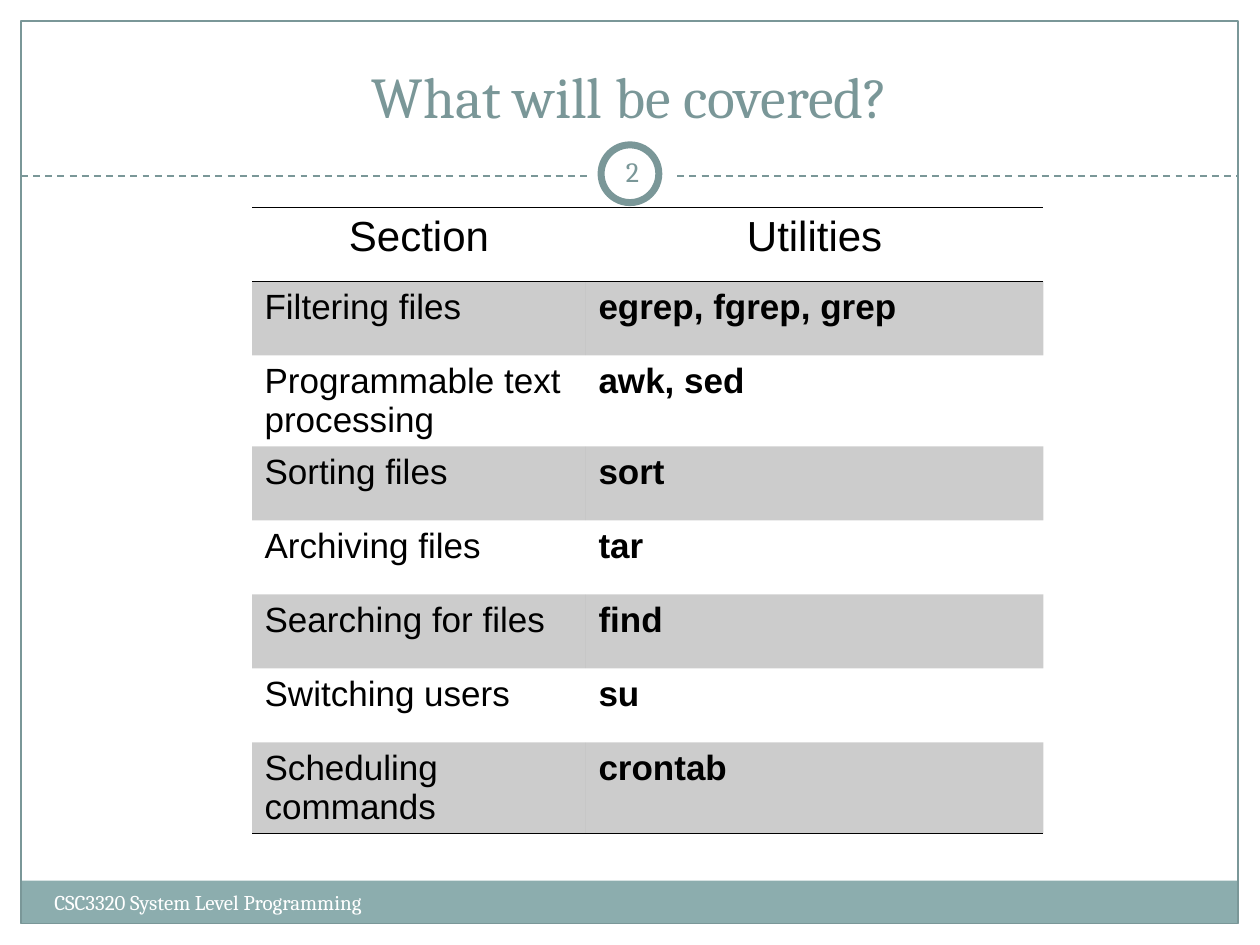
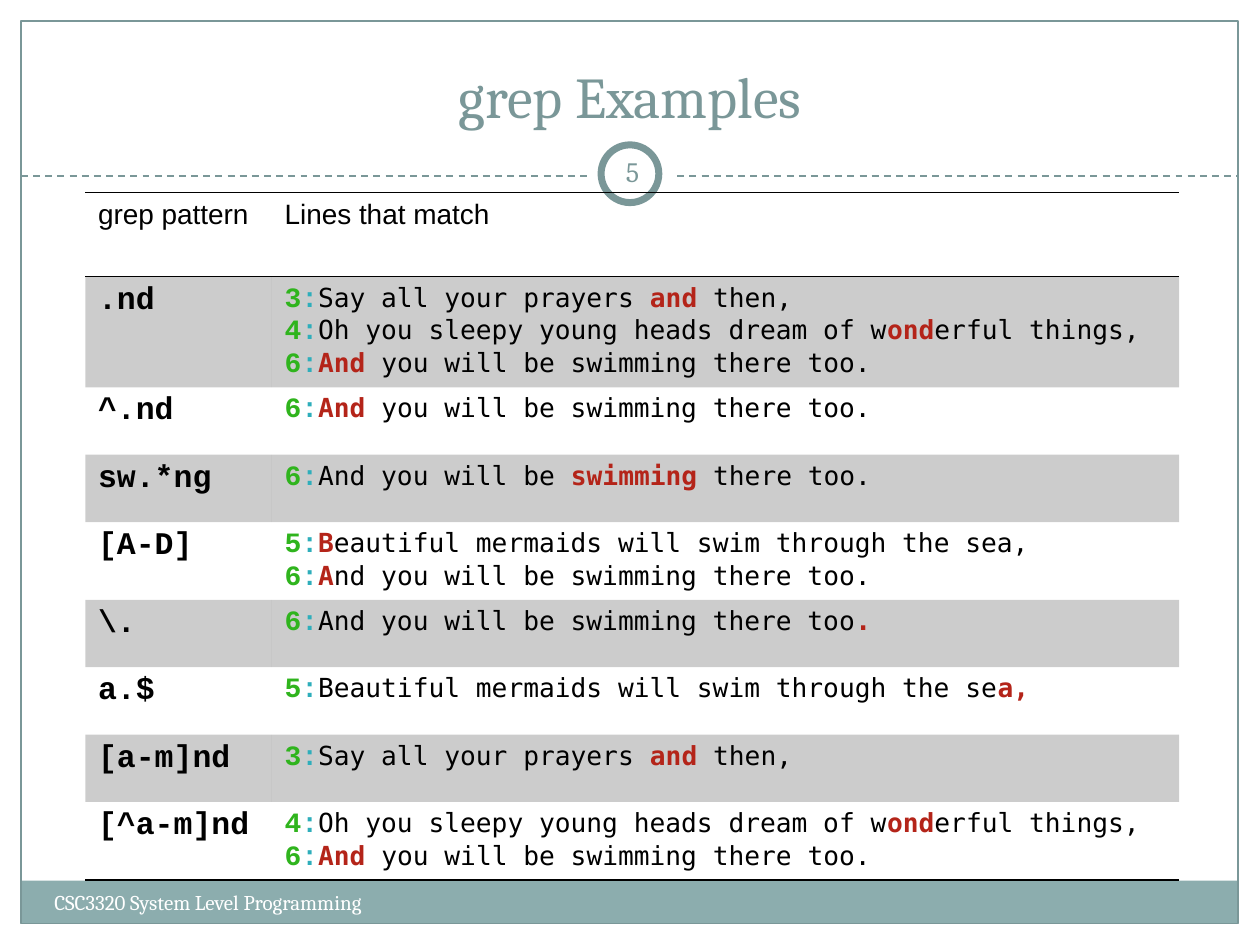
from lxml.etree import SubElement
from pptx import Presentation
from pptx.dml.color import RGBColor
from pptx.enum.dml import MSO_LINE
from pptx.enum.shapes import MSO_CONNECTOR, MSO_SHAPE
from pptx.enum.text import MSO_ANCHOR, MSO_AUTO_SIZE, PP_ALIGN
from pptx.oxml.ns import qn
from pptx.util import Pt

COLORS = {
    "teal": "7A9798",
    "band": "8CADAE",
    "white": "FFFFFF",
    "black": "000000",
    "number": "2FB41D",
    "colon": "2EAEBB",
    "match": "B42419",
}
SERIF, SANS, CODE, MONO = "Cambria", "Arial", "Courier New", "DejaVu Sans Mono"
PLAIN_TABLE_STYLE = "{2D5ABB26-0587-4C30-8999-92F81FD0307C}"
COURSE = "CSC3320 System Level Programming"

UTILITIES = [
    ("Section", "Utilities"),
    ("Filtering files", "egrep, fgrep, grep"),
    ("Programmable text processing", "awk, sed"),
    ("Sorting files", "sort"),
    ("Archiving files", "tar"),
    ("Searching for files", "find"),
    ("Switching users", "su"),
    ("Scheduling commands", "crontab"),
]
WRAPPED_SECTIONS = {"Programmable text processing", "Scheduling commands"}

POEM = {
    3: "Say all your prayers and then,",
    4: "Oh you sleepy young heads dream of wonderful things,",
    5: "Beautiful mermaids will swim through the sea,",
    6: "And you will be swimming there too.",
}
GREP_MATCHES = [
    (".nd", [(3, "and"), (4, "ond"), (6, "And")]),
    ("^.nd", [(6, "And")]),
    ("sw.*ng", [(6, "swimming")]),
    ("[A-D]", [(5, "B"), (6, "A")]),
    (r"\.", [(6, ".")]),
    ("a.$", [(5, "a,")]),
    ("[a-m]nd", [(3, "and")]),
    ("[^a-m]nd", [(4, "ond"), (6, "And")]),
]
GREP_ROW_HEIGHTS = {1: 38.5, 2: 44.5, 3: 63.3}


def rgb(name):
    return RGBColor.from_string(COLORS[name])


class SlideBuilder:
    def __init__(self, deck):
        self.deck = deck
        self.page = None

    def new_page(self, title, number):
        self.page = self.deck.slides.add_slide(self.deck.slide_layouts[5])
        self.shape(MSO_SHAPE.RECTANGLE, 12, 503.3, 695.5, 24.5, fill="band")
        self.shape(MSO_SHAPE.RECTANGLE, 12, 12.2, 695.5, 515.5, line="teal")
        self.dashed_line(12, 707.5, 100.6)
        self.shape(MSO_SHAPE.OVAL, 336, 75.6, 48, 48, fill="white")
        self.shape(MSO_SHAPE.OVAL, 343.5, 82.8, 33, 33, "white", "teal", 4)
        self.title(title)
        self.text(COURSE, 24, 504.7, 282, 28.8, 12, "white")
        badge = self.text(str(number), 343.5, 80.6, 36, 34.6, 16, "teal", PP_ALIGN.CENTER)
        badge.vertical_anchor = MSO_ANCHOR.MIDDLE
        badge.margin_left = badge.margin_right = Pt(3.6)

    def format_span(self, span, size, font, color, bold=False):
        span.font.size = Pt(size)
        span.font.name = font
        span.font.color.rgb = rgb(color)
        span.font.bold = bold

    def fill_text(self, frame, text, size, font, color, bold=False, align=PP_ALIGN.LEFT):
        frame.text = text
        para = frame.paragraphs[0]
        para.alignment = align
        self.format_span(para.runs[0], size, font, color, bold)

    def add_span(self, para, text, *style):
        if text:
            span = para.add_run()
            span.text = text
            self.format_span(span, *style)

    def title(self, text):
        box = self.page.shapes.title
        box.left, box.top, box.width, box.height = Pt(24), Pt(18), Pt(672), Pt(60)
        frame = box.text_frame
        frame.auto_size = MSO_AUTO_SIZE.NONE
        frame.vertical_anchor = MSO_ANCHOR.BOTTOM
        self.fill_text(frame, text, 33, SERIF, "teal", align=PP_ALIGN.CENTER)

    def text(self, text, left, top, width, height, size, color, align=PP_ALIGN.LEFT):
        box = self.page.shapes.add_textbox(Pt(left), Pt(top), Pt(width), Pt(height))
        frame = box.text_frame
        frame.word_wrap = True
        self.fill_text(frame, text, size, SERIF, color, align=align)
        return frame

    def shape(self, kind, left, top, width, height, fill=None, line=None, weight=1):
        shape = self.page.shapes.add_shape(kind, Pt(left), Pt(top), Pt(width), Pt(height))
        shape.shadow.inherit = False
        if fill:
            shape.fill.solid()
            shape.fill.fore_color.rgb = rgb(fill)
        else:
            shape.fill.background()
        if line:
            shape.line.color.rgb = rgb(line)
            shape.line.width = Pt(weight)
        else:
            shape.line.fill.background()

    def dashed_line(self, start, end, height):
        line = self.page.shapes.add_connector(
            MSO_CONNECTOR.STRAIGHT, Pt(start), Pt(height), Pt(end), Pt(height))
        line.line.color.rgb = rgb("teal")
        line.line.width = Pt(1)
        line.line.dash_style = MSO_LINE.DASH
        SubElement(line._element.spPr, qn("a:effectLst"))

    def table(self, left, top, widths, heights):
        frame = self.page.shapes.add_table(
            len(heights), len(widths), Pt(left), Pt(top), Pt(sum(widths)), Pt(sum(heights)))
        next(frame._element.iter(qn("a:tableStyleId"))).text = PLAIN_TABLE_STYLE
        table = frame.table
        table.first_row = table.horz_banding = False
        for column, width in zip(table.columns, widths):
            column.width = Pt(width)
        last = len(heights) - 1
        for index, (row, height) in enumerate(zip(table.rows, heights)):
            row.height = Pt(height)
            for cell in row.cells:
                cell.margin_left = cell.margin_right = Pt(7.2)
                cell.margin_top, cell.margin_bottom = Pt(3.6), Pt(0)
                if index == 0:
                    self.border(cell, "a:lnT")
                if index in (0, last):
                    self.border(cell, "a:lnB")
                self.shade(cell, index % 2 == 1)
        return table

    def border(self, cell, side):
        line = SubElement(cell._tc.get_or_add_tcPr(), qn(side), w=str(Pt(1)))
        fill = SubElement(line, qn("a:solidFill"))
        SubElement(fill, qn("a:srgbClr"), val=COLORS["black"])

    def shade(self, cell, shaded):
        if not shaded:
            cell.fill.background()
            return
        cell.fill.solid()
        cell.fill.fore_color.rgb = rgb("black")
        color = next(cell._tc.tcPr.find(qn("a:solidFill")).iter(qn("a:srgbClr")))
        SubElement(color, qn("a:alpha"), val="20000")

    def matched_line(self, para, number, match):
        before, found, after = POEM[number].partition(match)
        self.add_span(para, str(number), 16, CODE, "number", True)
        self.add_span(para, ":", 16, CODE, "colon", True)
        self.add_span(para, before, 15, MONO, "black")
        self.add_span(para, found, 15, MONO, "match", True)
        self.add_span(para, after, 15, MONO, "black")


def utilities_page(builder):
    builder.new_page("What will be covered?", 2)
    heights = [52 if section in WRAPPED_SECTIONS else 42.3 for section, _ in UTILITIES]
    table = builder.table(144, 118.5, [190.8, 261.4], heights)
    for row, texts in enumerate(UTILITIES):
        header = row == 0
        for column, text in enumerate(texts):
            builder.fill_text(
                table.cell(row, column).text_frame, text, 24 if header else 20, SANS, "black",
                bold=column == 1 and not header,
                align=PP_ALIGN.CENTER if header else PP_ALIGN.LEFT)


def grep_page(builder):
    builder.new_page("grep Examples", 5)
    heights = [48] + [GREP_ROW_HEIGHTS[len(matches)] for _, matches in GREP_MATCHES]
    table = builder.table(48.8, 110, [106.6, 518.4], heights)
    for column, text in enumerate(("grep pattern", "Lines that match")):
        builder.fill_text(table.cell(0, column).text_frame, text, 16, SANS, "black")
    for row, (pattern, matches) in enumerate(GREP_MATCHES, start=1):
        builder.fill_text(table.cell(row, 0).text_frame, pattern, 18, CODE, "black", bold=True)
        frame = table.cell(row, 1).text_frame
        for index, (number, match) in enumerate(matches):
            para = frame.add_paragraph() if index else frame.paragraphs[0]
            builder.matched_line(para, number, match)


def main():
    deck = Presentation()
    deck.slide_width, deck.slide_height = Pt(720), Pt(540)
    builder = SlideBuilder(deck)
    utilities_page(builder)
    grep_page(builder)
    deck.save("out.pptx")


if __name__ == "__main__":
    main()
